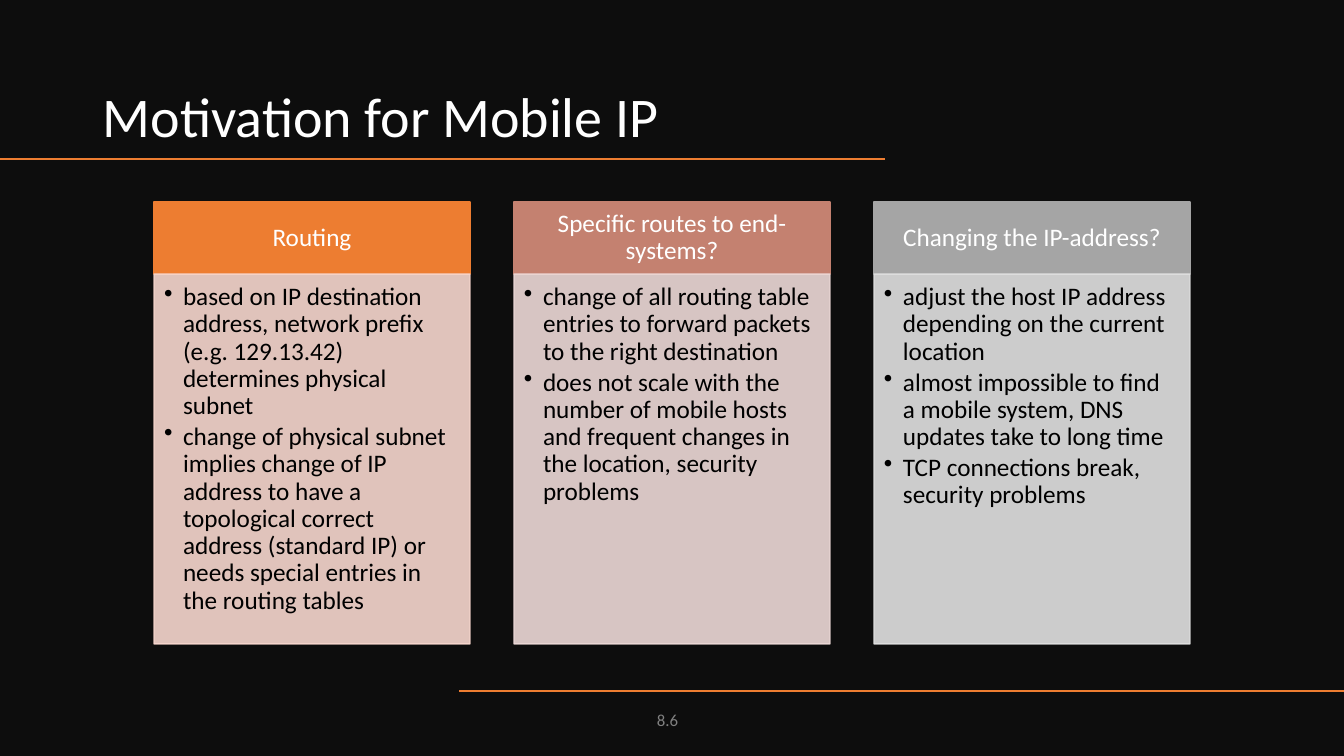
from dataclasses import dataclass

from lxml import etree
from pptx import Presentation
from pptx.dml.color import RGBColor
from pptx.enum.shapes import MSO_CONNECTOR, MSO_SHAPE
from pptx.enum.text import MSO_ANCHOR, MSO_AUTO_SIZE, PP_ALIGN
from pptx.oxml.ns import qn
from pptx.util import Emu, Pt

RECT = MSO_SHAPE.RECTANGLE
LINE = MSO_CONNECTOR.STRAIGHT
LEFT, CENTER = PP_ALIGN.LEFT, PP_ALIGN.CENTER
TOP, MIDDLE, BOTTOM = MSO_ANCHOR.TOP, MSO_ANCHOR.MIDDLE, MSO_ANCHOR.BOTTOM

TITLE = "Motivation for Mobile IP"
NUMBER = "8.6"
# heading, heading colour, list colour, points
CARDS = [
    ("Routing", "ED7D31", "F8D7CE", [
        "based on IP destination address, network prefix (e.g. 129.13.42) "
        "determines physical subnet",
        "change of physical subnet implies change of IP address to have a "
        "topological correct address (standard IP) or needs special entries "
        "in the routing tables",
    ]),
    ("Specific routes to end-systems?", "C48170", "EDD9D7", [
        "change of all routing table entries to forward packets to the right "
        "destination",
        "does not scale with the number of mobile hosts and frequent changes "
        "in the location, security problems",
    ]),
    ("Changing the IP-address?", "A5A5A5", "E1E1E1", [
        "adjust the host IP address depending on the current location",
        "almost impossible to find a mobile system, DNS updates take to long "
        "time",
        "TCP connections break, security problems",
    ]),
]
RULES = [(885, 0, 159), (1344, 459, 691)]  # from x, to x, y


@dataclass(frozen=True)
class Theme:
    font: str = "Calibri"
    back: str = "0D0D0D"
    light: str = "FFFFFF"
    dark: str = "000000"
    muted: str = "808080"
    accent: str = "ED7D31"
    title: int = 40
    text: int = 18
    small: int = 12
    alpha: int = 90


THEME = Theme()

WIDE, HIGH = 1344, 756
CARD_X, CARD_Y, CARD_W, STEP = 154, 202, 316, 360
HEAD_H, LIST_H = 72, 370
INDENT = 19


def px(n):
    return Emu(round(n * 914400 / 100.8))


def rgb(code):
    return RGBColor.from_string(code)


def place(shape, x, y, w, h):
    shape.left, shape.top, shape.width, shape.height = map(px, (x, y, w, h))


def write(shape, lines, size, color, align, anchor, inset, gap=0, bullet=False):
    """Fill a shape with paragraphs; inset is left, top, right, bottom."""
    frame = shape.text_frame
    frame.word_wrap = True
    frame.auto_size = MSO_AUTO_SIZE.NONE
    frame.vertical_anchor = anchor
    (frame.margin_left, frame.margin_top,
     frame.margin_right, frame.margin_bottom) = map(px, inset)
    frame.text = "\n".join(lines)
    for para in frame.paragraphs:
        para.alignment = align
        para.line_spacing = 0.9
        para.space_after = Pt(gap)
        if bullet:
            props = para._p.get_or_add_pPr()
            props.set("marL", str(px(INDENT)))
            props.set("indent", str(-px(INDENT)))
            etree.SubElement(props, qn("a:buChar"), char="•")
        font = para.font
        font.name, font.size = THEME.font, Pt(size)
        font.color.rgb = rgb(color)


def add_box(slide, x, y, w, h, color, alpha=100):
    box = slide.shapes.add_shape(RECT, px(x), px(y), px(w), px(h))
    box.shadow.inherit = False
    box.fill.solid()
    box.fill.fore_color.rgb = rgb(color)
    box.line.color.rgb = rgb(color)
    box.line.width = Pt(1)
    if alpha < 100:
        for tint in box._element.spPr.iter(qn("a:srgbClr")):
            etree.SubElement(tint, qn("a:alpha"), val=str(alpha * 1000))
    return box


def add_rule(slide, start, end, y):
    rule = slide.shapes.add_connector(LINE, px(start), px(y), px(end), px(y))
    rule.line.color.rgb = rgb(THEME.accent)
    rule.line.width = Pt(1)
    etree.SubElement(rule._element.spPr, qn("a:effectLst"))


def add_card(slide, x, head, dark, pale, points):
    box = add_box(slide, x, CARD_Y, CARD_W, HEAD_H, dark)
    write(box, [head], THEME.text, THEME.light, CENTER, MIDDLE, (14, 8, 14, 8))
    box = add_box(slide, x, CARD_Y + HEAD_H, CARD_W, LIST_H, pale, THEME.alpha)
    write(box, points, THEME.text, THEME.dark, LEFT, TOP, (10, 10, 14, 16),
          gap=2.7, bullet=True)


def main():
    deck = Presentation()
    deck.slide_width, deck.slide_height = px(WIDE), px(HIGH)
    slide = deck.slides.add_slide(deck.slide_layouts.get_by_name("Title Only"))
    back = slide.background.fill
    back.solid()
    back.fore_color.rgb = rgb(THEME.back)

    title = slide.shapes.title
    place(title, 93, 42, 792, 113)
    write(title, [TITLE], THEME.title, THEME.light, LEFT, BOTTOM, (10, 5, 10, 5))

    for rule in RULES:
        add_rule(slide, *rule)

    number = slide.shapes.add_textbox(px(446), px(701), px(454), px(40))
    write(number, [NUMBER], THEME.small, THEME.muted, LEFT, MIDDLE,
          (211, 5, 10, 5))

    for i, card in enumerate(CARDS):
        add_card(slide, CARD_X + i * STEP, *card)

    deck.save("out.pptx")


if __name__ == "__main__":
    main()
